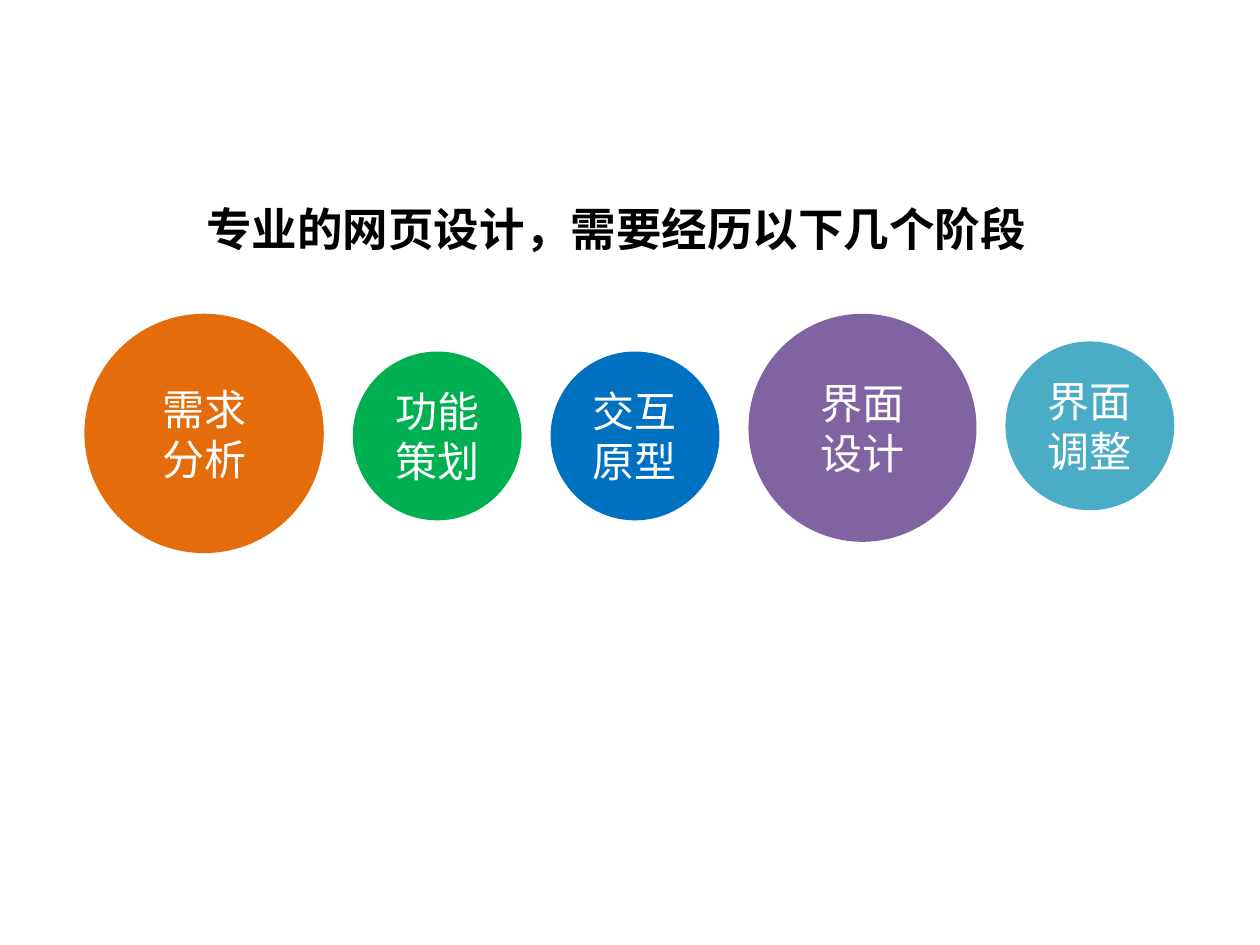
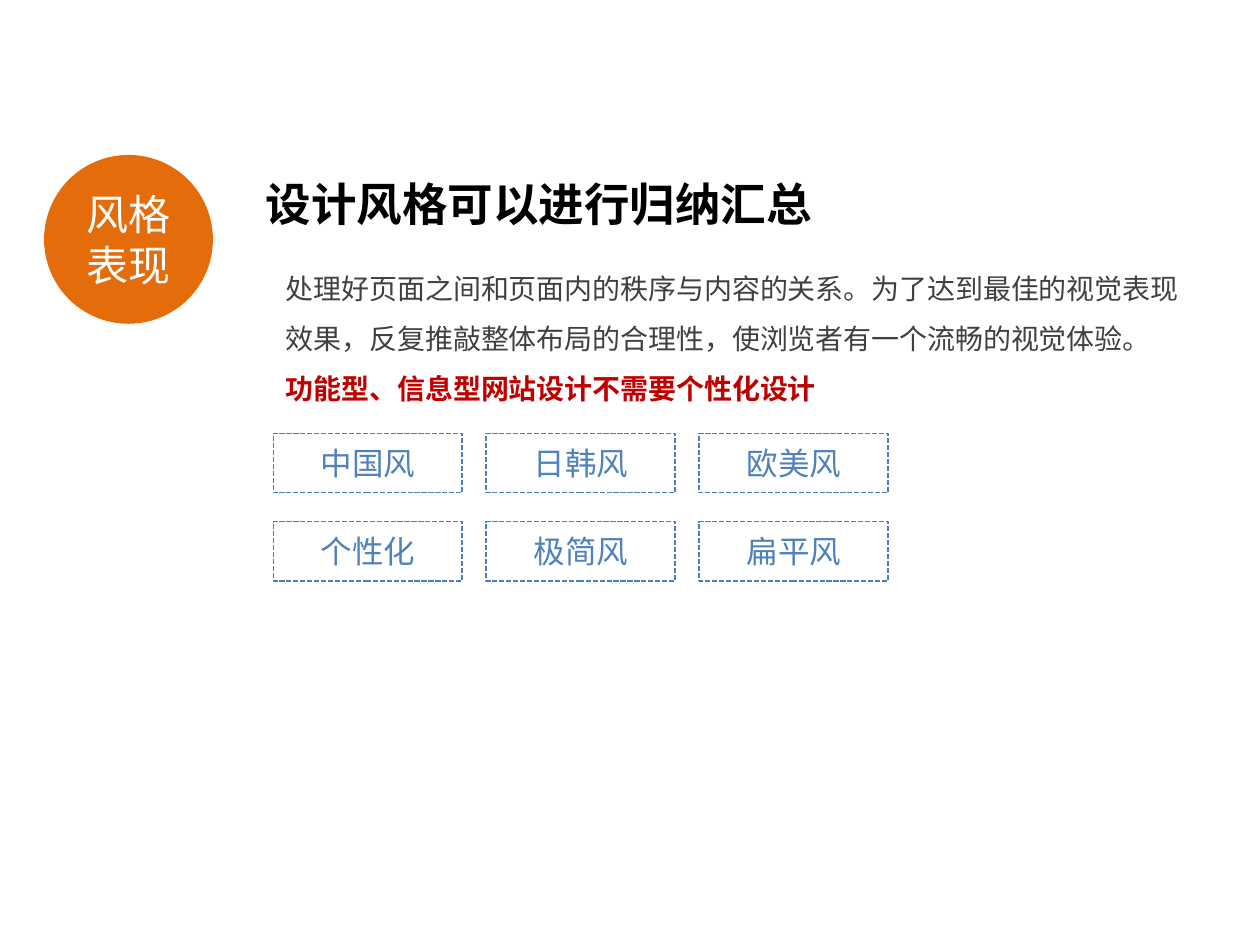
"""Builds two slides on the stages and styles of web design."""
import dataclasses
import typing

import lxml.etree
import pptx
import pptx.dml.color
import pptx.enum.dml
import pptx.enum.shapes
import pptx.enum.text
import pptx.oxml.ns
import pptx.util

Inches = pptx.util.Inches
LATIN = "Arial"
CHINESE = "Noto Sans CJK SC"
ORANGE = "E46C0A"
SMALL_CIRCLE = 1.34


@dataclasses.dataclass
class Circle:
    """A stage circle, with one paragraph per line of its text."""
    text: str
    color: str
    top: float
    size: float = SMALL_CIRCLE


STAGES = [
    Circle("需求\n分析", ORANGE, 2.49, 1.9),
    Circle("功能策划", "00B050", 2.79),
    Circle("交互原型", "0070C0", 2.79),
    Circle("界面\n设计", "8064A2", 2.49, 1.81),
    Circle("界面调整", "4BACC6", 2.71),
]
STAGE_LEFT, STAGE_GAP = 0.67, 0.23

STYLES = [["中国风", "日韩风", "欧美风"], ["个性化", "极简风", "扁平风"]]
STYLE_LEFT, STYLE_TOP = 2.17, 3.44
STYLE_WIDTH, STYLE_HEIGHT = 1.5, 0.47
STYLE_STEP_X, STYLE_STEP_Y = 1.69, 0.7


def rgb(color: str) -> pptx.dml.color.RGBColor:
    """Return the colour for a hex string."""
    return pptx.dml.color.RGBColor.from_string(color)


def write(para: typing.Any, text: str, *, size: float, color: str, font: str = LATIN,
          bold: bool = False, centered: bool = False,
          spacing: typing.Optional[float] = None) -> None:
    """Write formatted text into a paragraph."""
    if centered:
        para.alignment = pptx.enum.text.PP_ALIGN.CENTER
    if spacing:
        para.line_spacing = spacing
    span = para.add_run()
    span.text = text
    span.font.size = pptx.util.Pt(size)
    span.font.bold = bold
    span.font.color.rgb = rgb(color)
    span.font.name = font
    east_asian = lxml.etree.SubElement(span.font._element, pptx.oxml.ns.qn("a:ea"))
    east_asian.set("typeface", CHINESE)


def add_label_shape(page: typing.Any, kind: typing.Any, left: float, top: float,
                    width: float, height: float, text: str, size: float,
                    color: str) -> typing.Any:
    """Add a shape without shadow whose text is centred."""
    shape = page.shapes.add_shape(kind, Inches(left), Inches(top),
                                  Inches(width), Inches(height))
    shape.shadow.inherit = False
    frame = shape.text_frame
    frame.word_wrap = True
    frame.vertical_anchor = pptx.enum.text.MSO_ANCHOR.MIDDLE
    for index, line in enumerate(text.split("\n")):
        para = frame.add_paragraph() if index else frame.paragraphs[0]
        write(para, line, size=size, color=color, centered=True)
    return shape


def add_circle(page: typing.Any, circle: Circle, left: float) -> None:
    """Add a filled circle with white text."""
    shape = add_label_shape(page, pptx.enum.shapes.MSO_SHAPE.OVAL, left, circle.top,
                            circle.size, circle.size, circle.text, 24, "FFFFFF")
    shape.fill.solid()
    shape.fill.fore_color.rgb = rgb(circle.color)
    shape.line.fill.background()


def add_style(page: typing.Any, text: str, left: float, top: float) -> None:
    """Add a dashed frame that names a style."""
    shape = add_label_shape(page, pptx.enum.shapes.MSO_SHAPE.RECTANGLE, left, top,
                            STYLE_WIDTH, STYLE_HEIGHT, text, 18, "4F81BD")
    shape.fill.background()
    shape.line.color.rgb = rgb("4B7EBC")
    shape.line.width = pptx.util.Pt(1)
    shape.line.dash_style = pptx.enum.dml.MSO_LINE.SQUARE_DOT


def add_text_box(page: typing.Any, left: float, top: float, width: float,
                 height: float) -> typing.Any:
    """Add a wrapping text box and return its text frame."""
    box = page.shapes.add_textbox(Inches(left), Inches(top), Inches(width), Inches(height))
    box.text_frame.word_wrap = True
    return box.text_frame


def add_title(page: typing.Any, text: str, left: float, top: float, width: float) -> None:
    """Add the bold title of a slide."""
    frame = add_text_box(page, left, top, width, 0.54)
    write(frame.paragraphs[0], text, size=26, color="000000", font=CHINESE, bold=True)


def add_stages_page(deck: typing.Any) -> None:
    """Add the slide with the row of design stages."""
    page = deck.slides.add_slide(deck.slide_layouts[6])
    add_title(page, "专业的网页设计，需要经历以下几个阶段", 1.54, 1.55, 6.93)
    left = STAGE_LEFT
    for stage in STAGES:
        add_circle(page, stage, left)
        left += stage.size + STAGE_GAP


def add_styles_page(deck: typing.Any) -> None:
    """Add the slide with the grid of design styles."""
    page = deck.slides.add_slide(deck.slide_layouts[6])
    add_circle(page, Circle("风格表现", ORANGE, 1.23), 0.35)
    add_title(page, "设计风格可以进行归纳汇总", 2.01, 1.35, 7.4)
    frame = add_text_box(page, STYLE_LEFT, 1.97, 7.48, 1.94)
    write(frame.paragraphs[0],
          "处理好页面之间和页面内的秩序与内容的关系。为了达到最佳的视觉表现效果，"
          "反复推敲整体布局的合理性，使浏览者有一个流畅的视觉体验。",
          size=16, color="404040", font=CHINESE, spacing=1.5)
    write(frame.add_paragraph(), "功能型、信息型网站设计不需要个性化设计",
          size=16, color="C00000", font=CHINESE, bold=True, spacing=1.5)
    for row, names in enumerate(STYLES):
        for column, name in enumerate(names):
            add_style(page, name, STYLE_LEFT + column * STYLE_STEP_X,
                      STYLE_TOP + row * STYLE_STEP_Y)


def main() -> None:
    """Build the deck and save it."""
    deck = pptx.Presentation()
    deck.slide_width = Inches(10)
    deck.slide_height = Inches(7.5)
    add_stages_page(deck)
    add_styles_page(deck)
    deck.save("out.pptx")


if __name__ == "__main__":
    main()
